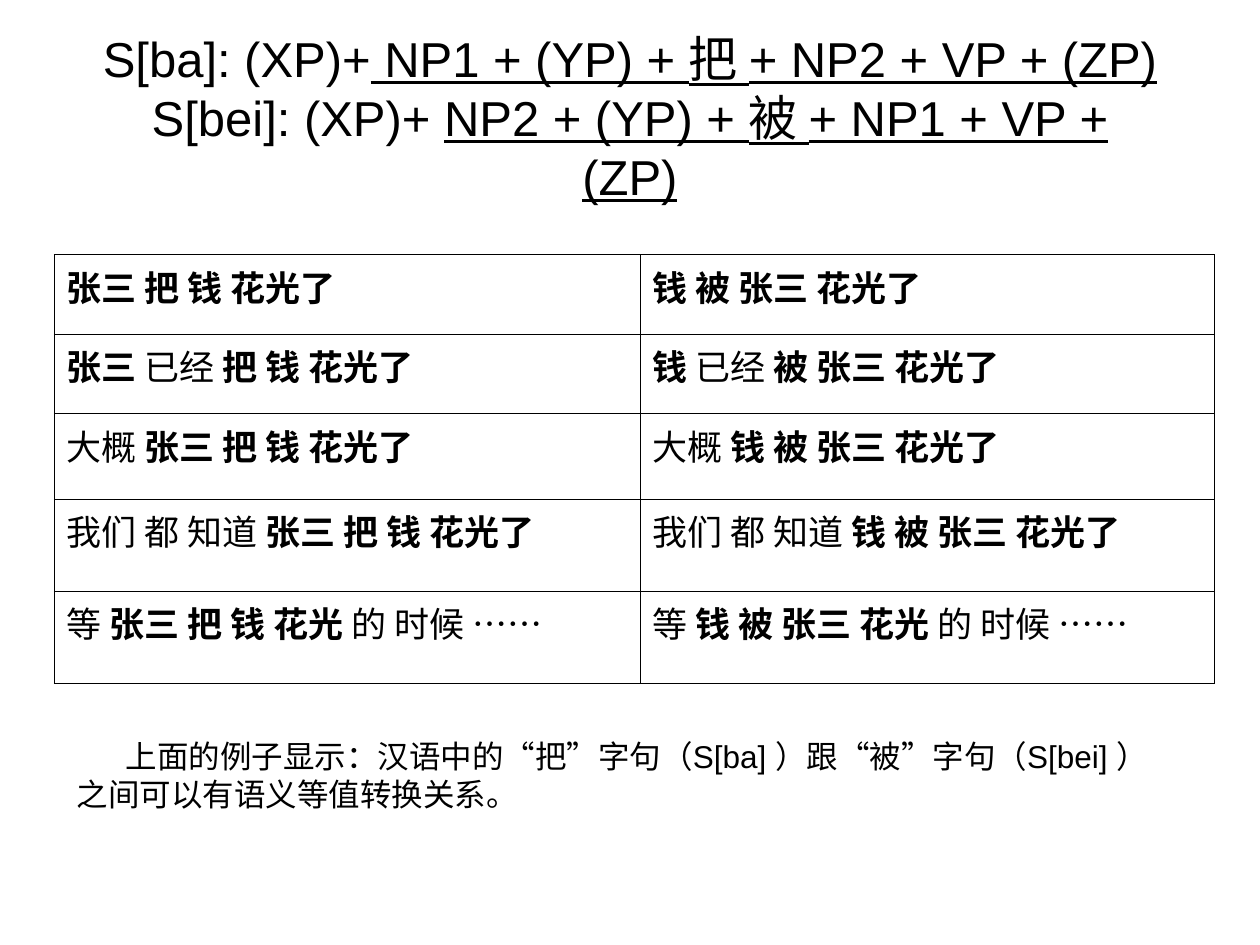
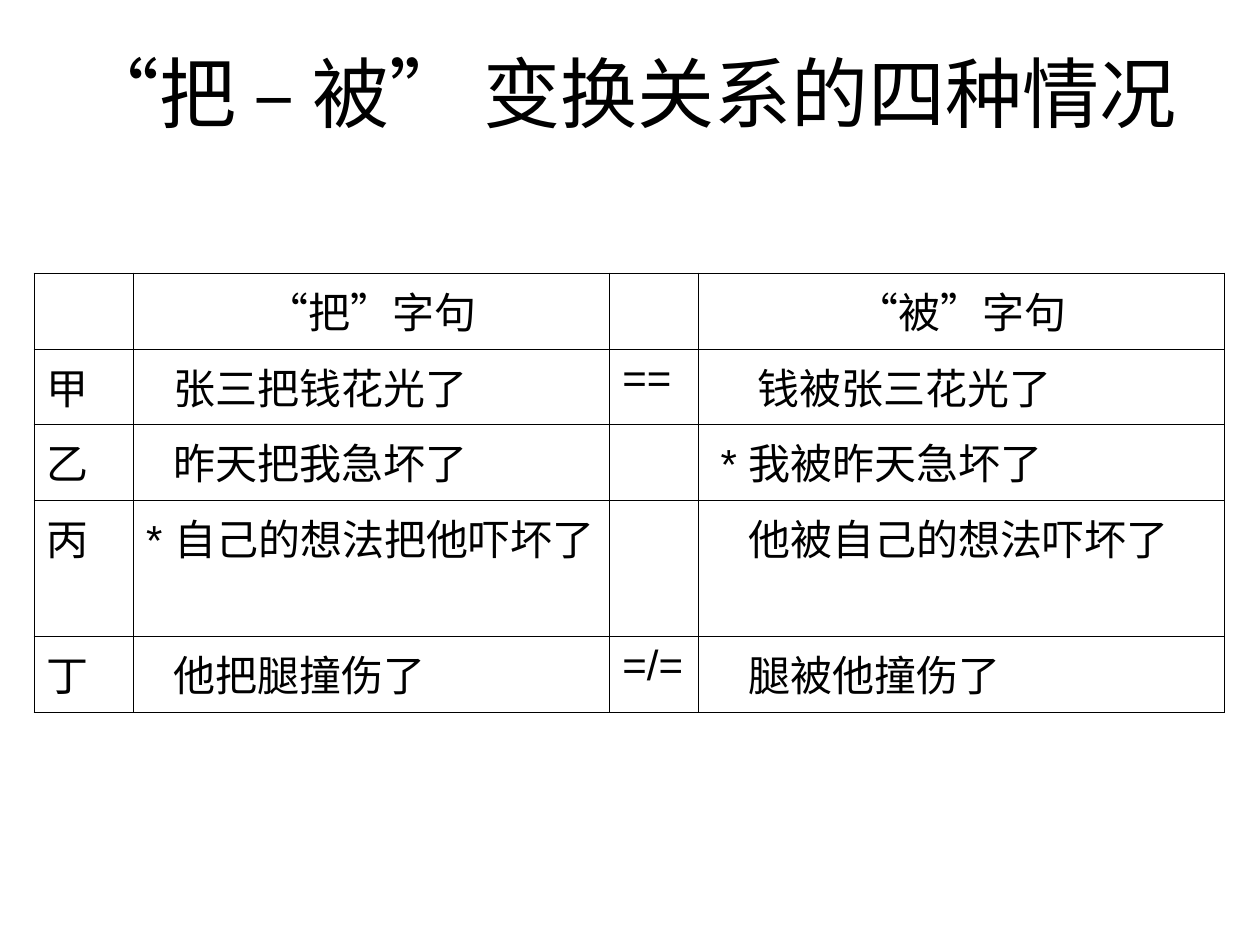
"""Build two slides on the conversion between Chinese ba and bei sentences."""
from dataclasses import dataclass

from lxml import etree
from pptx import Presentation
from pptx.dml.color import RGBColor
from pptx.enum.text import MSO_ANCHOR, PP_ALIGN
from pptx.oxml.ns import qn
from pptx.util import Inches, Pt

CENTER, LEFT = PP_ALIGN.CENTER, PP_ALIGN.LEFT
MIDDLE, TOP = MSO_ANCHOR.MIDDLE, MSO_ANCHOR.TOP
BLACK = "000000"
ARIAL, TIMES, CHINESE = "Arial", "Times New Roman", "Noto Sans CJK SC"
THIN, THICK = 0.45, 1.08
PLAIN_TABLE = {"first_row": False, "horz_banding": False}


@dataclass(frozen=True)
class Run:
    """A stretch of text in one format."""
    text: str
    font: str = ARIAL
    bold: bool = False
    underline: bool = False


@dataclass(frozen=True)
class Block:
    """One paragraph made of lines of runs."""
    lines: tuple[tuple[Run, ...], ...]
    size: float
    alignment: PP_ALIGN = LEFT
    indent: float = 0


@dataclass(frozen=True)
class TextArea:
    """A text box and the paragraph in it."""
    left: float
    top: float
    width: float
    height: float
    block: Block
    anchor: MSO_ANCHOR = TOP
    side_margin: float = 0.1


@dataclass(frozen=True)
class Grid:
    """A bordered table of paragraphs."""
    left: float
    top: float
    columns: tuple[float, ...]
    rows: tuple[float, ...]
    cells: tuple[tuple[Block, ...], ...]
    top_line: float = THIN


def color(value: str) -> RGBColor:
    """Turn a hex string into a colour."""
    return RGBColor.from_string(value)


def fill_text(text_frame, block: Block) -> None:
    """Write a block into the first paragraph of a text frame."""
    paragraph = text_frame.paragraphs[0]
    paragraph.alignment = block.alignment
    if block.indent:
        paragraph._p.get_or_add_pPr().set("indent", str(Inches(block.indent)))
    for number, line in enumerate(block.lines):
        if number:
            paragraph.add_line_break()
        for part in line:
            run = paragraph.add_run()
            run.text = part.text
            values = {"name": part.font, "size": Pt(block.size),
                      "bold": part.bold, "underline": part.underline}
            for name, value in values.items():
                setattr(run.font, name, value)
            run.font.color.rgb = color(BLACK)
            etree.SubElement(run.font._element, qn("a:ea"), typeface=CHINESE)


def draw_text(slide, area: TextArea) -> None:
    """Draw a text area."""
    box = slide.shapes.add_textbox(*map(Inches, (area.left, area.top, area.width, area.height)))
    margin = Inches(area.side_margin)
    values = {"word_wrap": True, "vertical_anchor": area.anchor,
              "margin_left": margin, "margin_right": margin}
    for name, value in values.items():
        setattr(box.text_frame, name, value)
    fill_text(box.text_frame, area.block)


def draw_borders(cell, top_line: float) -> None:
    """Give a cell black lines, the top one in its own width."""
    properties = cell._tc.get_or_add_tcPr()
    for side, width in {"L": THIN, "R": THIN, "T": top_line, "B": THIN}.items():
        line = etree.SubElement(properties, qn(f"a:ln{side}"), w=str(Pt(width)))
        solid = etree.SubElement(line, qn("a:solidFill"))
        etree.SubElement(solid, qn("a:srgbClr"), val=BLACK)


def draw_grid(slide, grid: Grid) -> None:
    """Draw a grid as a table."""
    frame = slide.shapes.add_table(
        len(grid.rows), len(grid.columns), Inches(grid.left), Inches(grid.top),
        Inches(sum(grid.columns)), Inches(sum(grid.rows)))
    table = frame.table
    for name, value in PLAIN_TABLE.items():
        setattr(table, name, value)
    for column, width in zip(table.columns, grid.columns):
        column.width = Inches(width)
    for row, height in zip(table.rows, grid.rows):
        row.height = Inches(height)
    for row_number, blocks in enumerate(grid.cells):
        for column_number, block in enumerate(blocks):
            cell = table.cell(row_number, column_number)
            draw_borders(cell, THIN if row_number else grid.top_line)
            cell.fill.background()
            fill_text(cell.text_frame, block)


def title(height: float, size: float, *lines: tuple[Run, ...], side_margin: float = 0.1) -> TextArea:
    """Describe a centred slide title."""
    return TextArea(0.5, 0.3, 9, height, Block(lines, size, CENTER), MIDDLE, side_margin)


def pattern(label: str, formula: str) -> tuple[Run, ...]:
    """Describe a sentence pattern with an underlined formula."""
    return Run(label), Run(formula, underline=True)


def core(text: str) -> Run:
    """Describe the bold core of an example."""
    return Run(text, CHINESE, bold=True)


def example(*runs: Run) -> Block:
    """Describe an example sentence."""
    return Block((runs,), 20)


def entry(text: str = "", indent: float = 0, alignment: PP_ALIGN = LEFT) -> Block:
    """Describe a cell of the comparison table."""
    return Block(((Run(text),),) if text else (), 24, alignment, indent)


BA, BEI = core("张三 把 钱 花光了"), core("钱 被 张三 花光了")
ALREADY, PROBABLY = Run(" 已经 ", TIMES), Run("大概 ", TIMES)
WE_KNOW = Run("我们 都 知道 ", TIMES)
WAIT, MOMENT = Run("等 "), Run(" 的 时候 ……")

PATTERN_TITLE = title(
    1.25, 28,
    pattern("S[ba]: (XP)+", " NP1 + (YP) + 把 + NP2 + VP + (ZP)"),
    pattern("S[bei]: (XP)+ ", "NP2 + (YP) + 被 + NP1 + VP + (ZP)"),
    side_margin=0.3)
EXAMPLES = Grid(0.43, 2.02, (4.65, 4.56), (0.63, 0.63, 0.68, 0.73, 0.73), (
    (example(BA), example(BEI)),
    (example(core("张三"), ALREADY, core("把 钱 花光了")),
     example(core("钱"), ALREADY, core("被 张三 花光了"))),
    (example(PROBABLY, BA), example(PROBABLY, BEI)),
    (example(WE_KNOW, BA), example(WE_KNOW, BEI)),
    (example(WAIT, core("张三 把 钱 花光"), MOMENT),
     example(WAIT, core("钱 被 张三 花光"), MOMENT)),
))
CONCLUSION = TextArea(0.51, 5.8, 8.82, 0.7, Block(((Run(
    "上面的例子显示：汉语中的“把”字句（S[ba] ）跟“被”字句（S[bei] ）"
    "之间可以有语义等值转换关系。"),),), 18, indent=0.39))

CASES_TITLE = title(0.85, 44, (Run("“把 – 被” 变换关系的四种情况"),))
CASES = Grid(0.27, 2.17, (0.79, 3.78, 0.7, 4.18), (0.6, 0.6, 0.6, 1.08, 0.6), (
    (entry(), entry("“把”字句", alignment=CENTER), entry(), entry("“被”字句", alignment=CENTER)),
    (entry("甲"), entry("张三把钱花光了", 0.22), entry("=="), entry("钱被张三花光了", 0.37)),
    (entry("乙"), entry("昨天把我急坏了", 0.22), entry(), entry("* 我被昨天急坏了", 0.08)),
    (entry("丙"), entry("* 自己的想法把他吓坏了"), entry(), entry("他被自己的想法吓坏了", 0.3)),
    (entry("丁"), entry("他把腿撞伤了", 0.22), entry("=/="), entry("腿被他撞伤了", 0.3)),
), THICK)

SLIDES = ((PATTERN_TITLE, EXAMPLES, CONCLUSION), (CASES_TITLE, CASES))


def main() -> None:
    """Build and save the presentation."""
    presentation = Presentation()
    presentation.slide_width, presentation.slide_height = Inches(10), Inches(7.5)
    for elements in SLIDES:
        slide = presentation.slides.add_slide(presentation.slide_layouts[6])
        for element in elements:
            draw = draw_grid if isinstance(element, Grid) else draw_text
            draw(slide, element)
    presentation.save("out.pptx")


if __name__ == "__main__":
    main()
